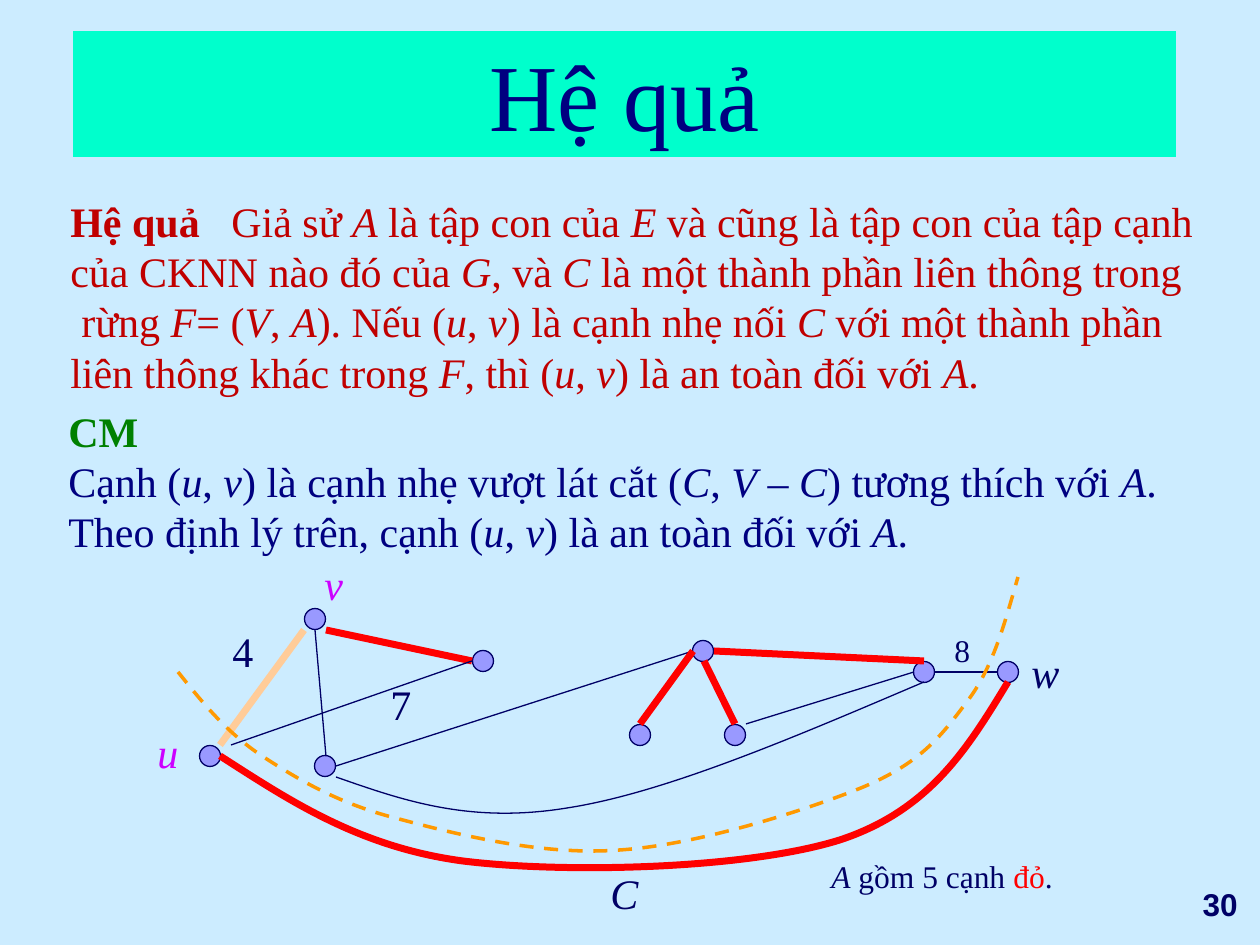
from dataclasses import dataclass
from typing import Optional

from lxml.etree import SubElement
from pptx import Presentation
from pptx.dml.color import RGBColor
from pptx.enum.dml import MSO_LINE
from pptx.enum.shapes import MSO_CONNECTOR, MSO_SHAPE
from pptx.enum.text import MSO_ANCHOR, MSO_AUTO_SIZE, PP_ALIGN
from pptx.oxml.ns import qn
from pptx.util import Pt

PX = 914400 / 126
NODE_SIZE = 21
SERIF = "Times New Roman"

SKY = RGBColor(0xCC, 0xEC, 0xFF)
MINT = RGBColor(0x00, 0xFF, 0xCC)
NAVY = RGBColor(0x00, 0x00, 0x80)
INK = RGBColor(0x00, 0x00, 0x66)
CRIMSON = RGBColor(0xC0, 0x00, 0x00)
GREEN = RGBColor(0x00, 0x80, 0x00)
VIOLET = RGBColor(0xCC, 0x00, 0xFF)
LILAC = RGBColor(0x99, 0x99, 0xFF)
RED = RGBColor(0xFF, 0x00, 0x00)
PEACH = RGBColor(0xFF, 0xCC, 0x99)
ORANGE = RGBColor(0xFF, 0x99, 0x00)


def px(value: float) -> int:
    return round(value * PX)


@dataclass
class Span:
    text: str
    italic: bool = False
    color: Optional[RGBColor] = None
    bold: bool = False


@dataclass
class Line:
    spans: list[Span]
    color: RGBColor = INK
    size: int = 24
    indent: int = 0
    tab: int = 0
    font: str = SERIF
    align: PP_ALIGN = PP_ALIGN.LEFT


@dataclass
class Edge:
    start: tuple[int, int]
    end: tuple[int, int]
    color: RGBColor = INK
    width: float = 0.75


@dataclass
class Curve:
    start: tuple[int, int]
    controls: list[tuple[int, int]]  # three points per cubic segment
    color: RGBColor = INK
    width: float = 0.75
    dash: Optional[MSO_LINE] = None


def spans(text: str) -> list[Span]:
    """Underscores switch italics on and off."""
    return [Span(part, i % 2 == 1) for i, part in enumerate(text.split("_")) if part]


def write(frame, lines: list[Line], anchor=MSO_ANCHOR.TOP) -> None:
    frame.word_wrap = True
    frame.auto_size = MSO_AUTO_SIZE.NONE
    frame.vertical_anchor = anchor
    for index, line in enumerate(lines):
        para = frame.paragraphs[0] if index == 0 else frame.add_paragraph()
        para.alignment = line.align
        properties = para._p.get_or_add_pPr()
        if line.indent:
            properties.set("indent", str(px(line.indent)))
        if line.tab:
            tabs = SubElement(properties, qn("a:tabLst"))
            SubElement(tabs, qn("a:tab"), pos=str(px(line.tab)), algn="l")
        para.font.name = line.font
        para.font.size = Pt(line.size)
        para.font.color.rgb = line.color
        for span in line.spans:
            run = para.add_run()
            run.text = span.text
            if span.italic:
                run.font.italic = True
            if span.bold:
                run.font.bold = True
            if span.color is not None:
                run.font.color.rgb = span.color


def add_text(page, left, top, width, height, lines, anchor=MSO_ANCHOR.TOP) -> None:
    box = page.shapes.add_textbox(px(left), px(top), px(width), px(height))
    write(box.text_frame, lines, anchor)


def add_node(page, x: int, y: int) -> None:
    node = page.shapes.add_shape(MSO_SHAPE.OVAL, px(x - NODE_SIZE / 2), px(y - NODE_SIZE / 2),
                                 px(NODE_SIZE), px(NODE_SIZE))
    node.shadow.inherit = False
    node.fill.solid()
    node.fill.fore_color.rgb = LILAC
    node.line.color.rgb = INK
    node.line.width = Pt(0.75)


def add_edge(page, edge: Edge) -> None:
    line = page.shapes.add_connector(MSO_CONNECTOR.STRAIGHT, *map(px, edge.start + edge.end))
    line.line.color.rgb = edge.color
    line.line.width = Pt(edge.width)
    SubElement(line._element.spPr, qn("a:effectLst"))


def add_curve(page, curve: Curve) -> None:
    builder = page.shapes.build_freeform(*curve.start, scale=PX)
    builder.add_line_segments(curve.controls, close=False)
    shape = builder.convert_to_shape()
    shape.shadow.inherit = False
    shape.fill.background()
    shape.line.color.rgb = curve.color
    shape.line.width = Pt(curve.width)
    if curve.dash:
        shape.line.dash_style = curve.dash
    # Turn every three straight segments into one cubic segment
    outline = next(shape._element.iter(qn("a:path")))
    segments = outline.findall(qn("a:lnTo"))
    for first in range(0, len(segments), 3):
        cubic = SubElement(outline, qn("a:cubicBezTo"))
        for segment in segments[first:first + 3]:
            cubic.append(segment[0])
            outline.remove(segment)


NODES = [(315, 619), (1008, 672), (924, 672), (325, 766), (735, 735),
         (483, 661), (210, 756), (640, 735), (703, 651)]

EDGES = [
    Edge((326, 630), (472, 661), RED, 4),
    Edge((315, 630), (326, 756)),
    Edge((231, 745), (472, 661)),
    Edge((336, 766), (693, 651)),
    Edge((704, 661), (735, 724), RED, 4),
    Edge((693, 651), (640, 724), RED, 4),
    Edge((746, 724), (914, 672)),
    Edge((714, 651), (924, 661), RED, 4),
    Edge((304, 630), (220, 745), PEACH, 4),
    Edge((934, 672), (998, 672)),
]

CURVES = [
    Curve((220, 756), [(290, 801), (359, 847), (462, 861), (566, 874), (748, 869), (840, 840),
                       (931, 810), (969, 746), (1008, 682)], RED, 4),
    Curve((336, 777), [(402, 800), (469, 824), (567, 808), (665, 793), (795, 737), (924, 682)]),
    Curve((178, 672), [(202, 702), (226, 732), (262, 756), (299, 780), (339, 804), (399, 819),
                       (459, 835), (543, 856), (620, 850), (697, 845), (804, 811), (861, 788),
                       (919, 764), (940, 738), (966, 703), (993, 669), (1005, 622),
                       (1018, 577)], ORANGE, 2, MSO_LINE.DASH),
]

# left, top, width, height, line
LABELS = [
    (145, 720, 46, 63, Line(spans("_u_"), VIOLET)),
    (312, 552, 45, 63, Line(spans("_v_"), VIOLET)),
    (598, 861, 53, 63, Line(spans("_C_"))),
    (378, 672, 47, 63, Line(spans("7"))),
    (220, 619, 46, 63, Line(spans("4"))),
    (1019, 640, 53, 63, Line(spans("_w_"))),
    (942, 625, 40, 50, Line(spans("8"), size=18)),
    (819, 851, 255, 50,
     Line([*spans("_A_ gồm 5 cạnh "), Span("đỏ", color=RED), Span(".")], size=18)),
]

COROLLARY = [
    Line([Span("Hệ quả", bold=True),
          *spans("\tGiả sử _A_ là tập con của _E_ và cũng là tập con của tập cạnh")],
         CRIMSON, tab=161),
    Line(spans("của CKNN nào đó của _G_, và _C_ là một thành phần liên thông trong"), CRIMSON),
    Line(spans("rừng _F_\t= (_V_, _A_). Nếu (_u_, _v_) là cạnh nhẹ nối _C_ với một thành phần"),
         CRIMSON, indent=11, tab=147),
    Line(spans("liên thông khác trong _F_, thì (_u_, _v_) là an toàn đối với _A_."), CRIMSON),
]

PROOF = [
    Line([Span("CM", bold=True)], GREEN),
    Line(spans("Cạnh (_u_, _v_) là cạnh nhẹ vượt lát cắt (_C_, _V_ – _C_) tương thích với _A_."),
         NAVY),
    Line(spans("Theo định lý trên, cạnh (_u_, _v_) là an toàn đối với _A_."), NAVY),
]


def main() -> None:
    deck = Presentation()
    deck.slide_width, deck.slide_height = px(1260), px(945)
    page = deck.slides.add_slide(deck.slide_layouts[5])
    page.background.fill.solid()
    page.background.fill.fore_color.rgb = SKY

    # Title band
    title = page.shapes.title
    title.left, title.top, title.width, title.height = map(px, (73, 31, 1103, 126))
    title.fill.solid()
    title.fill.fore_color.rgb = MINT
    write(title.text_frame, [Line(spans("Hệ quả"), NAVY, 54, align=PP_ALIGN.CENTER)])

    # Statement and proof
    add_text(page, 58, 189, 1158, 214, COROLLARY)
    add_text(page, 56, 399, 1120, 164, PROOF)

    # Graph
    for node in NODES:
        add_node(page, *node)
    for edge in EDGES:
        add_edge(page, edge)
    for curve in CURVES:
        add_curve(page, curve)
    for left, top, width, height, line in LABELS:
        add_text(page, left, top, width, height, [line])

    # Page number
    number = Line([Span("30", bold=True)], size=18, font="Arial", align=PP_ALIGN.RIGHT)
    add_text(page, 1008, 872, 242, 63, [number], MSO_ANCHOR.MIDDLE)

    deck.save("out.pptx")


if __name__ == "__main__":
    main()
